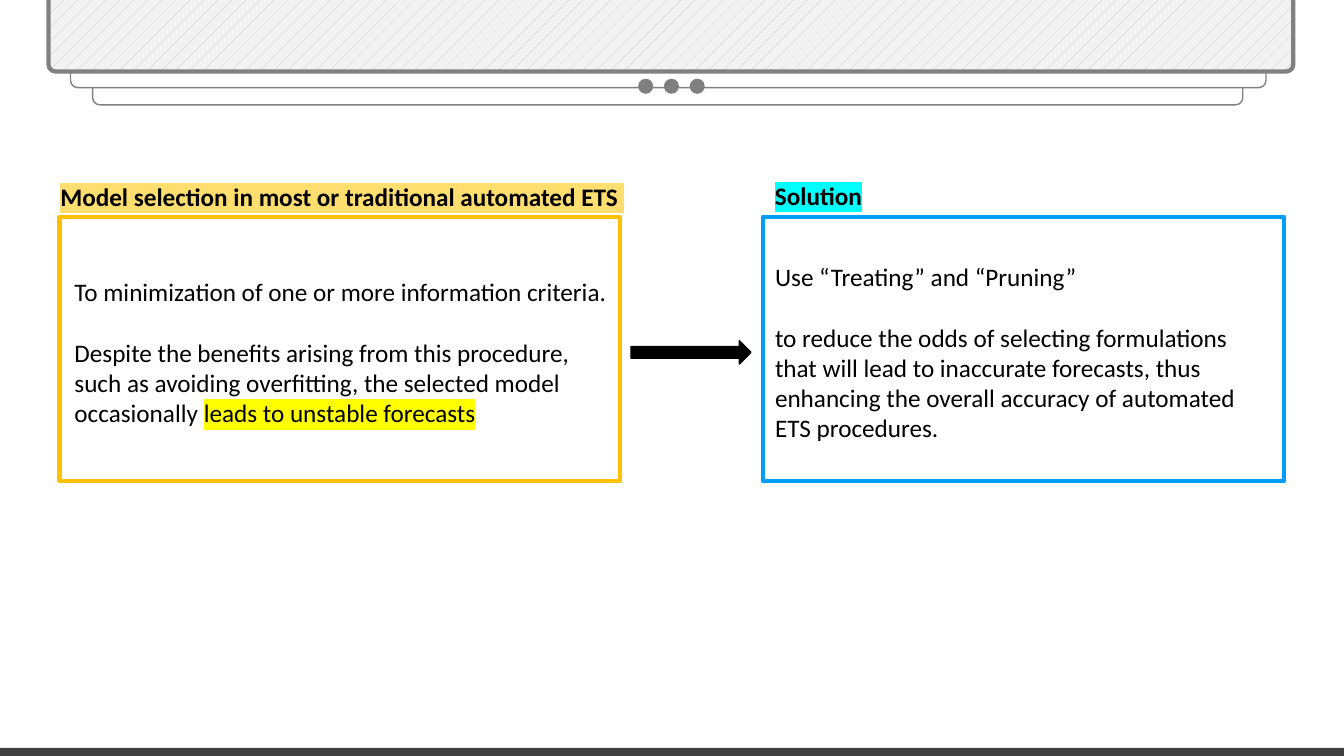
from dataclasses import dataclass
from typing import Optional

from pptx import Presentation
from pptx.dml.color import RGBColor
from pptx.enum import dml, shapes, text
from pptx.oxml import ns, xmlchemy
from pptx.util import Pt

BLACK = RGBColor(0x00, 0x00, 0x00)
WHITE = RGBColor(0xFF, 0xFF, 0xFF)
GREY = RGBColor(0x80, 0x80, 0x80)
DOT_GREY = RGBColor(0x7F, 0x7F, 0x7F)
DARK_GREY = RGBColor(0x40, 0x40, 0x40)
HATCH_GREY = RGBColor(0xBF, 0xBF, 0xBF)
PALE_GREY = RGBColor(0xF2, 0xF2, 0xF2)
AMBER = RGBColor(0xFF, 0xC0, 0x00)
BLUE = RGBColor(0x01, 0x9E, 0xF6)
YELLOW = RGBColor(0xFF, 0xFF, 0x00)
SAND = RGBColor(0xFF, 0xDE, 0x70)
CYAN = RGBColor(0x00, 0xFF, 0xFF)

FONT = {"name": "Calibri", "size": Pt(18)}
PARAGRAPH_GAP = 22
Box = tuple[float, float, float, float]
KIND = shapes.MSO_SHAPE


@dataclass
class Figure:
    kind: KIND
    box: Box
    fill: Optional[RGBColor] = None
    line: Optional[RGBColor] = None
    weight: float = 1
    corner: Optional[float] = None
    hatched: bool = False


@dataclass
class Span:
    words: str
    bold: bool = False
    highlight: Optional[RGBColor] = None


@dataclass
class TextBlock:
    box: Box
    paragraphs: list[list[Span]]
    wrap: bool = True


TRAY = {"kind": KIND.ROUNDED_RECTANGLE, "line": GREY, "corner": 0.018}
DOT_LEFT, DOT_STEP, DOT_SIZE = 455.8, 18.4, 10.8
PANEL_TOP, PANEL_HEIGHT = 154.8, 188.6

FIGURES = [
    Figure(box=(66.2, -205.9, 821.5, 280.8), **TRAY),
    Figure(box=(50.4, -218.2, 853.9, 280.8), fill=WHITE, **TRAY),
    Figure(box=(34.6, -229.7, 889.2, 280.8), weight=3, hatched=True, **TRAY),
    Figure(KIND.RECTANGLE, (0, 534.2, 960, 5.8), fill=DARK_GREY),
    *(Figure(KIND.OVAL, (DOT_LEFT + i * DOT_STEP, 56.2, DOT_SIZE, DOT_SIZE), fill=DOT_GREY)
      for i in range(3)),
    Figure(KIND.RECTANGLE, (42.5, PANEL_TOP, 400.3, PANEL_HEIGHT), line=AMBER, weight=3),
    Figure(KIND.RECTANGLE, (545, PANEL_TOP, 372.2, PANEL_HEIGHT), line=BLUE, weight=3),
    Figure(KIND.RIGHT_ARROW, (450.7, 243.4, 85.7, 16.6), fill=BLACK, line=BLACK),
]

TEXT_BLOCKS = [
    TextBlock((46.1, 193.7, 400.3, 116.6), [
        [Span("To minimization of one or more information criteria.")],
        [Span("Despite the benefits arising from this procedure, such as avoiding "
              "overfitting, the selected model occasionally "),
         Span("leads to unstable forecasts", highlight=YELLOW)],
    ]),
    TextBlock((36, 126, 420.5, 28.8), [
        [Span("Model selection in most or traditional automated ETS ", True, SAND)],
    ], wrap=False),
    TextBlock((546.5, 125.3, 77, 28.8), [[Span("Solution", True, CYAN)]], wrap=False),
    TextBlock((546.5, 182.9, 370.8, 138.2), [
        [Span("Use “Treating” and “Pruning”")],
        [Span("to reduce the odds of selecting formulations that will lead to inaccurate "
              "forecasts, thus enhancing the overall accuracy of automated ETS procedures.")],
    ]),
]


def draw_figure(s, fig: Figure) -> None:
    sp = s.shapes.add_shape(fig.kind, *map(Pt, fig.box))
    sp.shadow.inherit = False
    if fig.corner is not None:
        sp.adjustments[0] = fig.corner
    if fig.hatched:
        sp.fill.patterned()
        sp.fill.pattern = dml.MSO_PATTERN.PERCENT_5
        sp.fill.fore_color.rgb = HATCH_GREY
        sp.fill.back_color.rgb = PALE_GREY
    elif fig.fill is not None:
        sp.fill.solid()
        sp.fill.fore_color.rgb = fig.fill
    else:
        sp.fill.background()
    if fig.line is not None:
        sp.line.color.rgb = fig.line
        sp.line.width = Pt(fig.weight)
    else:
        sp.line.fill.background()


def set_highlight(r, color: RGBColor) -> None:
    """Mark a run whose font colour is already set."""
    mark = xmlchemy.OxmlElement("a:highlight")
    swatch = xmlchemy.OxmlElement("a:srgbClr")
    swatch.set("val", str(color))
    mark.append(swatch)
    r._r.get_or_add_rPr().find(ns.qn("a:solidFill")).addnext(mark)


def add_span(p, span: Span) -> None:
    r = p.add_run()
    r.text = span.words
    for name, value in {**FONT, "bold": span.bold}.items():
        setattr(r.font, name, value)
    r.font.color.rgb = BLACK
    if span.highlight is not None:
        set_highlight(r, span.highlight)


def draw_text(s, block: TextBlock) -> None:
    tf = s.shapes.add_textbox(*map(Pt, block.box)).text_frame
    tf.word_wrap = block.wrap
    tf.auto_size = text.MSO_AUTO_SIZE.SHAPE_TO_FIT_TEXT
    for i, spans in enumerate(block.paragraphs):
        p = tf.add_paragraph() if i else tf.paragraphs[0]
        if i:
            p.space_before = Pt(PARAGRAPH_GAP)
        for span in spans:
            add_span(p, span)


def main() -> None:
    prs = Presentation()
    prs.slide_width, prs.slide_height = Pt(960), Pt(540)
    s = prs.slides.add_slide(prs.slide_layouts.get_by_name("Blank"))
    for fig in FIGURES:
        draw_figure(s, fig)
    for block in TEXT_BLOCKS:
        draw_text(s, block)
    prs.save("out.pptx")


if __name__ == "__main__":
    main()
